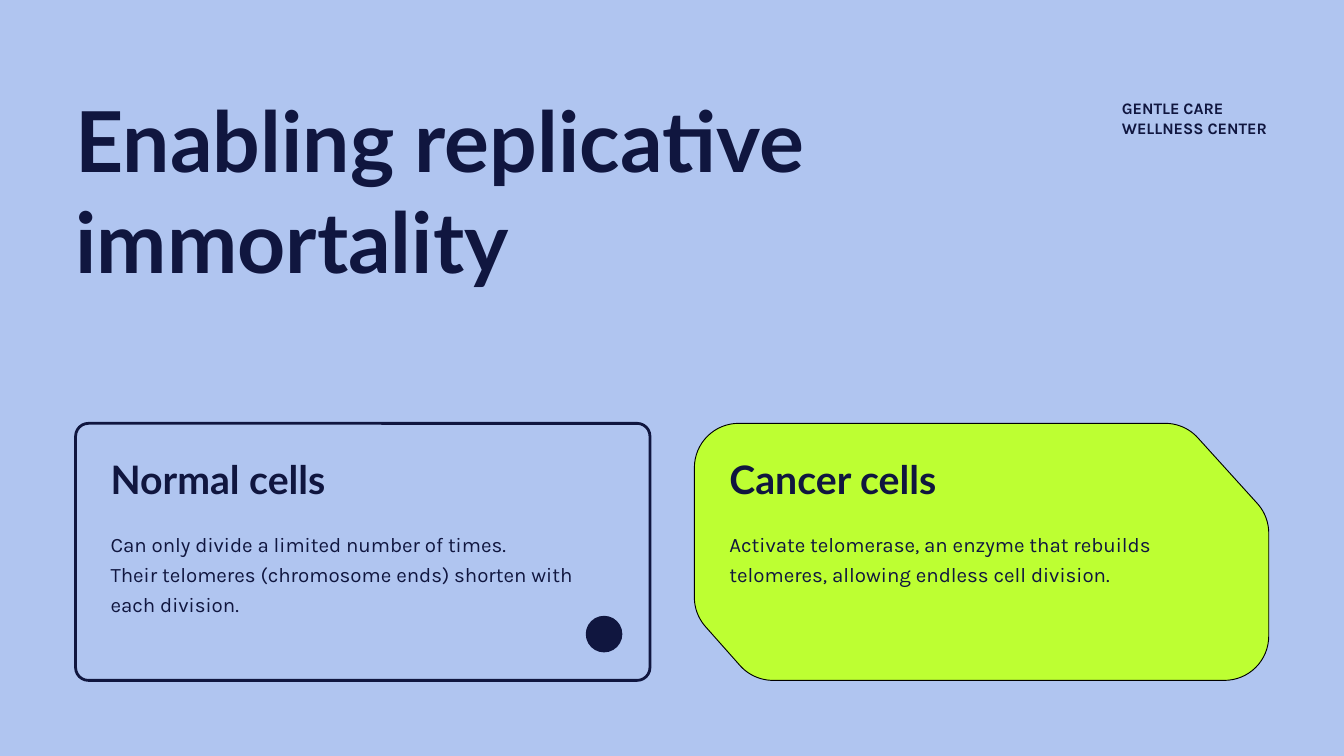
"""Build the slide comparing the division limits of normal and cancer cells."""
from math import atan2, cos, pi, sin, tan

from pptx import Presentation
from pptx.dml.color import RGBColor
from pptx.enum.shapes import MSO_SHAPE
from pptx.enum.text import MSO_AUTO_SIZE
from pptx.util import Pt

COLORS = {"background": "B0C5F0", "navy": "10163F", "lime": "BDFF32", "black": "000000"}
CARD_TOP, CARD_WIDTH, CARD_HEIGHT = 453.6, 615.4, 275.4
NORMAL_LEFT, CANCER_LEFT = 81, 744
CORNER_RADIUS, ARC_STEPS = 47.5, 16


def style_shape(shape, fill=None, line=None, line_width=1):
    shape.shadow.inherit = False
    if fill:
        shape.fill.solid()
        shape.fill.fore_color.rgb = RGBColor.from_string(COLORS[fill])
    else:
        shape.fill.background()
    if line:
        shape.line.color.rgb = RGBColor.from_string(COLORS[line])
        shape.line.width = Pt(line_width)
    else:
        shape.line.fill.background()


def add_text(left, top, width, height, lines, font_name, size, bold=False, spacing=None):
    box = slide.shapes.add_textbox(Pt(left), Pt(top), Pt(width), Pt(height))
    frame = box.text_frame
    frame.word_wrap = True
    frame.auto_size = MSO_AUTO_SIZE.SHAPE_TO_FIT_TEXT
    frame.margin_left = frame.margin_top = frame.margin_right = frame.margin_bottom = 0
    frame.text = "\n".join(lines)
    for paragraph in frame.paragraphs:
        paragraph.line_spacing = spacing
        paragraph.font.name = font_name
        paragraph.font.size = Pt(size)
        paragraph.font.bold = bold
        paragraph.font.color.rgb = RGBColor.from_string(COLORS["navy"])


presentation = Presentation()
presentation.slide_width, presentation.slide_height = Pt(1440), Pt(810)
slide = presentation.slides.add_slide(presentation.slide_layouts[6])
slide.background.fill.solid()
slide.background.fill.fore_color.rgb = RGBColor.from_string(COLORS["background"])

right, bottom = CANCER_LEFT + CARD_WIDTH, CARD_TOP + CARD_HEIGHT
corners = [
    (CANCER_LEFT, CARD_TOP), (right - 90, CARD_TOP), (right, CARD_TOP + 99.4),
    (right, bottom), (CANCER_LEFT + 63, bottom), (CANCER_LEFT, bottom - 71),
]
outline = []
for index, (x, y) in enumerate(corners):
    previous_x, previous_y = corners[index - 1]
    next_x, next_y = corners[(index + 1) % len(corners)]
    heading = atan2(y - previous_y, x - previous_x)
    turn = (atan2(next_y - y, next_x - x) - heading) % (2 * pi)
    setback = CORNER_RADIUS * tan(turn / 2)
    center_x = x - setback * cos(heading) - CORNER_RADIUS * sin(heading)
    center_y = y - setback * sin(heading) + CORNER_RADIUS * cos(heading)
    for step in range(ARC_STEPS + 1):
        angle = heading + turn * step / ARC_STEPS
        outline.append((Pt(center_x + CORNER_RADIUS * sin(angle)),
                        Pt(center_y - CORNER_RADIUS * cos(angle))))
builder = slide.shapes.build_freeform(*outline[0])
builder.add_line_segments(outline[1:], close=True)
style_shape(builder.convert_to_shape(), "lime", "black")

normal_card = slide.shapes.add_shape(
    MSO_SHAPE.ROUNDED_RECTANGLE, Pt(NORMAL_LEFT), Pt(CARD_TOP), Pt(CARD_WIDTH), Pt(CARD_HEIGHT))
normal_card.adjustments[0] = 0.05
style_shape(normal_card, line="navy", line_width=3)

dot = slide.shapes.add_shape(MSO_SHAPE.OVAL, Pt(627.6), Pt(659.8), Pt(39.2), Pt(39.2))
style_shape(dot, "navy")

add_text(1202, 106, 157, 36, ["GENTLE CARE", "WELLNESS CENTER"], "Karla", 17.2, True)
add_text(NORMAL_LEFT, 95, 926.6, 218, ["Enabling replicative immortality"], "Lato", 90, True)

cards = [
    (NORMAL_LEFT, "Normal cells", [
        "Can only divide a limited number of times.",
        "Their telomeres (chromosome ends) shorten with each division."]),
    (CANCER_LEFT, "Cancer cells", [
        "Activate telomerase, an enzyme that rebuilds telomeres, allowing endless cell division."]),
]
for card_left, heading_text, body in cards:
    text_left = card_left + 37.5
    add_text(text_left, 493.2, 357, 46, [heading_text], "Lato", 42, True, 0.9)
    add_text(text_left, 565.2, 540.7, 30 * len(body), body, "Karla", 22, spacing=1.2)

presentation.save("out.pptx")
